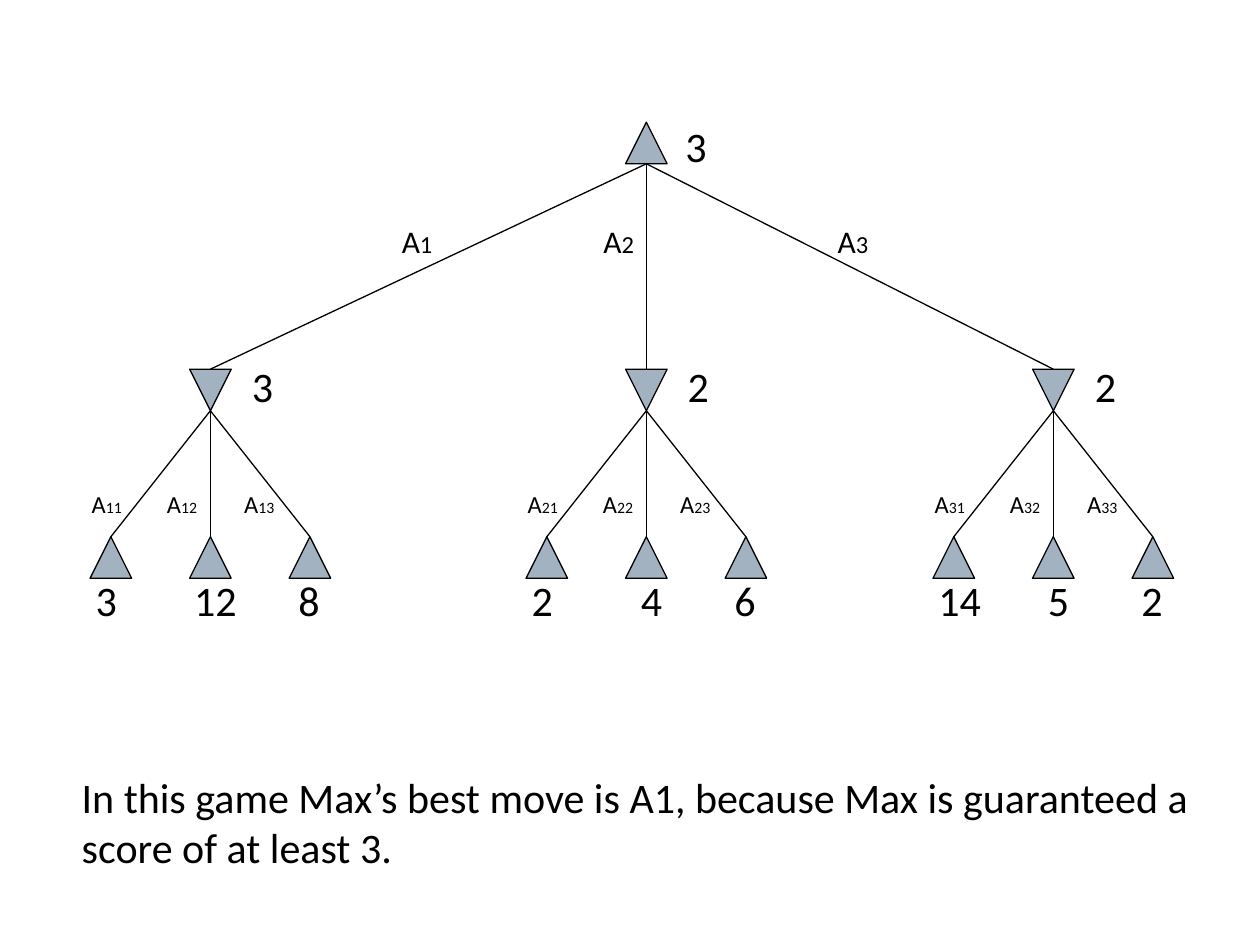
from lxml import etree
from pptx import Presentation
from pptx.dml.color import RGBColor
from pptx.enum.shapes import MSO_CONNECTOR, MSO_SHAPE
from pptx.enum.text import MSO_AUTO_SIZE, PP_ALIGN
from pptx.oxml.ns import qn
from pptx.util import Inches, Pt

TRIANGLE = MSO_SHAPE.ISOSCELES_TRIANGLE
STRAIGHT = MSO_CONNECTOR.STRAIGHT
LEFT, CENTER = PP_ALIGN.LEFT, PP_ALIGN.CENTER
GROW = MSO_AUTO_SIZE.SHAPE_TO_FIT_TEXT
FONT = "Calibri"
COLORS = {name: RGBColor.from_string(value) for name, value in
          {"node": "A3B2C1", "ink": "000000"}.items()}

# Grid in inches: node columns are centres, node rows are tops.
NODE = 0.33
ROOT_ROW, MIN_ROW, LEAF_ROW = 0.97, 2.93, 4.26
ROOT_COLUMN = 5.13
LEAF_GAP = 0.79
DIGIT_WIDTH, TWO_DIGIT_WIDTH, SCORE_HEIGHT = 0.39, 0.57, 0.51

# Column, min value, leaf scores, left edge of the move label
BRANCHES = [
    (1.67, "3", ("3", "12", "8"), 3.09),
    (5.13, "2", ("2", "4", "6"), 4.69),
    (8.36, "2", ("14", "5", "2"), 6.55),
]
# Offsets from the branch column for the three leaves
SCORE_OFFSETS = (-1.01, None, 0.6)
SCORE_CENTER = 0.04
MOVE_OFFSETS = (-1.04, -0.46, 0.17)
ALIGNMENTS = (LEFT, CENTER, LEFT)

presentation = Presentation()
presentation.slide_width, presentation.slide_height = Inches(10), Inches(7.5)
slide = presentation.slides.add_slide(presentation.slide_layouts[6])
tree = slide.shapes.add_group_shape().shapes


def add_text(shapes, runs, left, top, width, height, alignment=LEFT, wrap=False):
    """Add a one-paragraph text box from (text, point size) runs."""
    box = shapes.add_textbox(*map(Inches, (left, top, width, height)))
    frame = box.text_frame
    frame.word_wrap = wrap
    frame.auto_size = GROW
    paragraph = frame.paragraphs[0]
    paragraph.alignment = alignment
    paragraph.font.name = FONT
    paragraph.font.color.rgb = COLORS["ink"]
    for text, size in runs:
        run = paragraph.add_run()
        run.text = text
        run.font.size = Pt(size)


def score_width(score):
    return TWO_DIGIT_WIDTH if len(score) > 1 else DIGIT_WIDTH


# Collect the nodes and edges of the game tree, then draw edges below nodes.
nodes = [(ROOT_COLUMN, ROOT_ROW, 0)]
edges = []
for column, value, scores, move_left in BRANCHES:
    nodes.append((column, MIN_ROW, 180))
    edges.append((ROOT_COLUMN, ROOT_ROW + NODE, column, MIN_ROW))
    for step in (-1, 0, 1):
        leaf_column = column + step * LEAF_GAP
        nodes.append((leaf_column, LEAF_ROW, 0))
        edges.append((column, MIN_ROW + NODE, leaf_column, LEAF_ROW))

for edge in edges:
    connector = tree.add_connector(STRAIGHT, *map(Inches, edge))
    connector.line.color.rgb = COLORS["ink"]
    connector.line.width = Pt(0.75)
    etree.SubElement(connector._element.spPr, qn("a:effectLst"))

for column, row, rotation in nodes:
    triangle = tree.add_shape(
        TRIANGLE, *map(Inches, (column - NODE / 2, row, NODE, NODE)))
    triangle.rotation = rotation
    triangle.shadow.inherit = False
    triangle.fill.solid()
    triangle.fill.fore_color.rgb = COLORS["node"]
    triangle.line.color.rgb = COLORS["ink"]
    triangle.line.width = Pt(0.75)

# Node values, move labels and leaf scores
add_text(tree, [("3", 24)], 5.34, 0.91, DIGIT_WIDTH, SCORE_HEIGHT)
for branch, (column, value, scores, move_left) in enumerate(BRANCHES, 1):
    add_text(tree, [("A", 18), (str(branch), 14)], move_left, 1.71, 0.48, 0.4)
    add_text(tree, [(value, 24)], column + 0.23, 2.81, DIGIT_WIDTH, SCORE_HEIGHT)
    for leaf, (score, score_offset, move_offset, alignment) in enumerate(
            zip(scores, SCORE_OFFSETS, MOVE_OFFSETS, ALIGNMENTS), 1):
        width = score_width(score)
        if score_offset is None:
            score_offset = SCORE_CENTER - width / 2
        add_text(tree, [(score, 24)], column + score_offset, 4.51,
                 width, SCORE_HEIGHT, alignment)
        add_text(tree, [("A", 14), (f"{branch}{leaf}", 9)],
                 column + move_offset, 3.83, 0.47, 0.33, alignment)

conclusion = ("In this game Max’s best move is A1, because Max is guaranteed "
              "a score of at least 3.")
add_text(slide.shapes, [(conclusion, 24)], 0.55, 6.07, 9.18, 0.91, wrap=True)

presentation.save("out.pptx")
